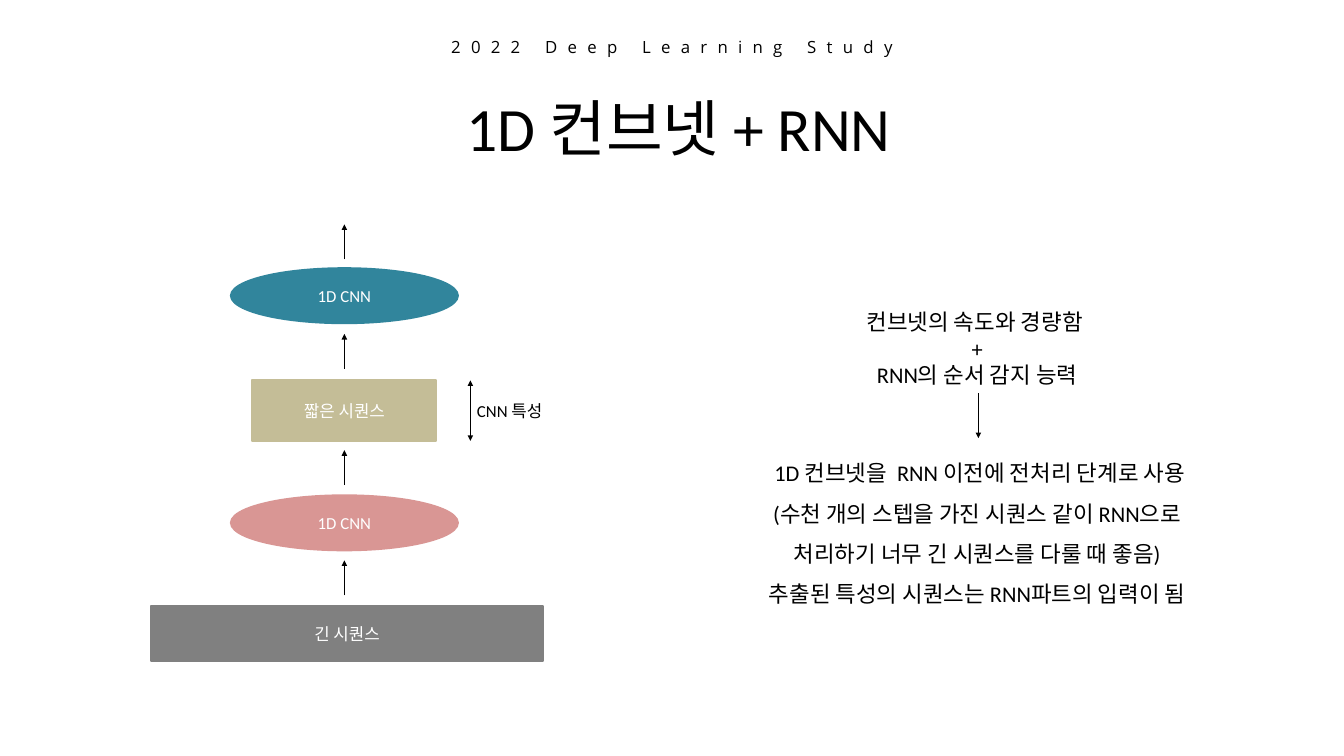
from lxml import etree
from pptx import Presentation
from pptx.dml import color
from pptx.enum import shapes, text
from pptx.oxml import ns
from pptx.util import Inches, Pt

BLACK, WHITE = "000000", "FFFFFF"
CENTER, LEFT = text.PP_ALIGN.CENTER, text.PP_ALIGN.LEFT
TOP, MIDDLE = text.MSO_ANCHOR.TOP, text.MSO_ANCHOR.MIDDLE
RECT, OVAL = shapes.MSO_SHAPE.RECTANGLE, shapes.MSO_SHAPE.OVAL


def tint(code):
    return color.RGBColor.from_string(code)


def write(frame, lines, size, shade=BLACK, face="Calibri", align=CENTER,
          anchor=TOP, space=None, track=None):
    frame.word_wrap = True
    frame.vertical_anchor = anchor
    for index, line in enumerate(lines):
        para = frame.add_paragraph() if index else frame.paragraphs[0]
        para.alignment = align
        if space:
            para.line_spacing = space
        run = para.add_run()
        run.text = line
        run.font.size = Pt(size)
        run.font.name = face
        run.font.color.rgb = tint(shade)
        if track:
            run.font._element.set("spc", str(track * 100))


def label(slide, left, top, width, height, lines, size, **style):
    box = slide.shapes.add_textbox(
        Inches(left), Inches(top), Inches(width), Inches(height))
    write(box.text_frame, lines, size, **style)
    box.text_frame.auto_size = text.MSO_AUTO_SIZE.SHAPE_TO_FIT_TEXT


def block(slide, kind, left, top, width, height, fill, name):
    shape = slide.shapes.add_shape(
        kind, Inches(left), Inches(top), Inches(width), Inches(height))
    shape.shadow.inherit = False
    shape.fill.solid()
    shape.fill.fore_color.rgb = tint(fill)
    shape.line.color.rgb = tint(fill)
    shape.line.width = Pt(2)
    write(shape.text_frame, [name], 18, shade=WHITE, anchor=MIDDLE)


def arrow(slide, x, start, end, both=False):
    line = slide.shapes.add_connector(
        shapes.MSO_CONNECTOR.STRAIGHT,
        Inches(x), Inches(start), Inches(x), Inches(end))
    line.line.color.rgb = tint(BLACK)
    line.line.width = Pt(0.75)
    stroke = line.line._get_or_add_ln()
    for tag in ["a:headEnd", "a:tailEnd"] if both else ["a:tailEnd"]:
        etree.SubElement(stroke, ns.qn(tag), type="triangle")
    etree.SubElement(line._element.spPr, ns.qn("a:effectLst"))


def header(slide, left, top, width):
    label(slide, left, top, width, 0.4, ["2022 Deep Learning Study"], 18,
          face="Open Sans", anchor=MIDDLE, track=11)
    label(slide, left + 1.84, top + 0.8, width - 3.69, 1.21,
          [" 1D 컨브넷 + RNN"], 66)


def model(slide, left, top, width):
    mid = left + width / 2 - 0.04
    layers = [
        (OVAL, 0.65, 3.38, 0.82, "31859C", "1D CNN"),
        (RECT, 2.32, 2.74, 0.9, "C4BD97", "짧은 시퀀스"),
        (OVAL, 4.03, 3.38, 0.82, "D99694", "1D CNN"),
        (RECT, 5.68, 5.83, 0.82, "808080", "긴 시퀀스"),
    ]
    for kind, drop, wide, high, fill, name in layers:
        side = left if wide == width else mid - wide / 2
        block(slide, kind, side, top + drop, wide, high, fill, name)
    for drop in (0, 1.63, 3.36, 5):
        arrow(slide, mid, top + drop + 0.52, top + drop)
    edge = left + 4.75
    arrow(slide, edge, top + 2.32, top + 3.22, both=True)
    label(slide, edge, top + 2.57, 1.33, 0.4, ["CNN 특성"], 18, align=LEFT)


def reason(slide, left, top, width):
    label(slide, left, top, width, 1.61,
          ["컨브넷의 속도와 경량함 ", "+", "RNN의 순서 감지 능력"], 24)
    arrow(slide, left + width / 2 + 0.02, top + 1.32, top + 1.99)
    label(slide, left, top + 2.06, width, 2.83, [
        " 1D 컨브넷을  RNN 이전에 전처리 단계로 사용",
        "(수천 개의 스텝을 가진 시퀀스 같이 RNN으로 "
        "처리하기 너무 긴 시퀀스를 다룰 때 좋음)",
        "추출된 특성의 시퀀스는 RNN파트의 입력이 됨",
    ], 24, space=1.5)


def main():
    deck = Presentation()
    deck.slide_width = Inches(20)
    deck.slide_height = Inches(11.25)
    slide = deck.slides.add_slide(deck.slide_layouts[6])
    header(slide, 1.53, 0.49, 16.94)
    model(slide, 2.25, 3.34, 5.83)
    reason(slide, 11, 4.53, 7.08)
    deck.save("out.pptx")


if __name__ == "__main__":
    main()
